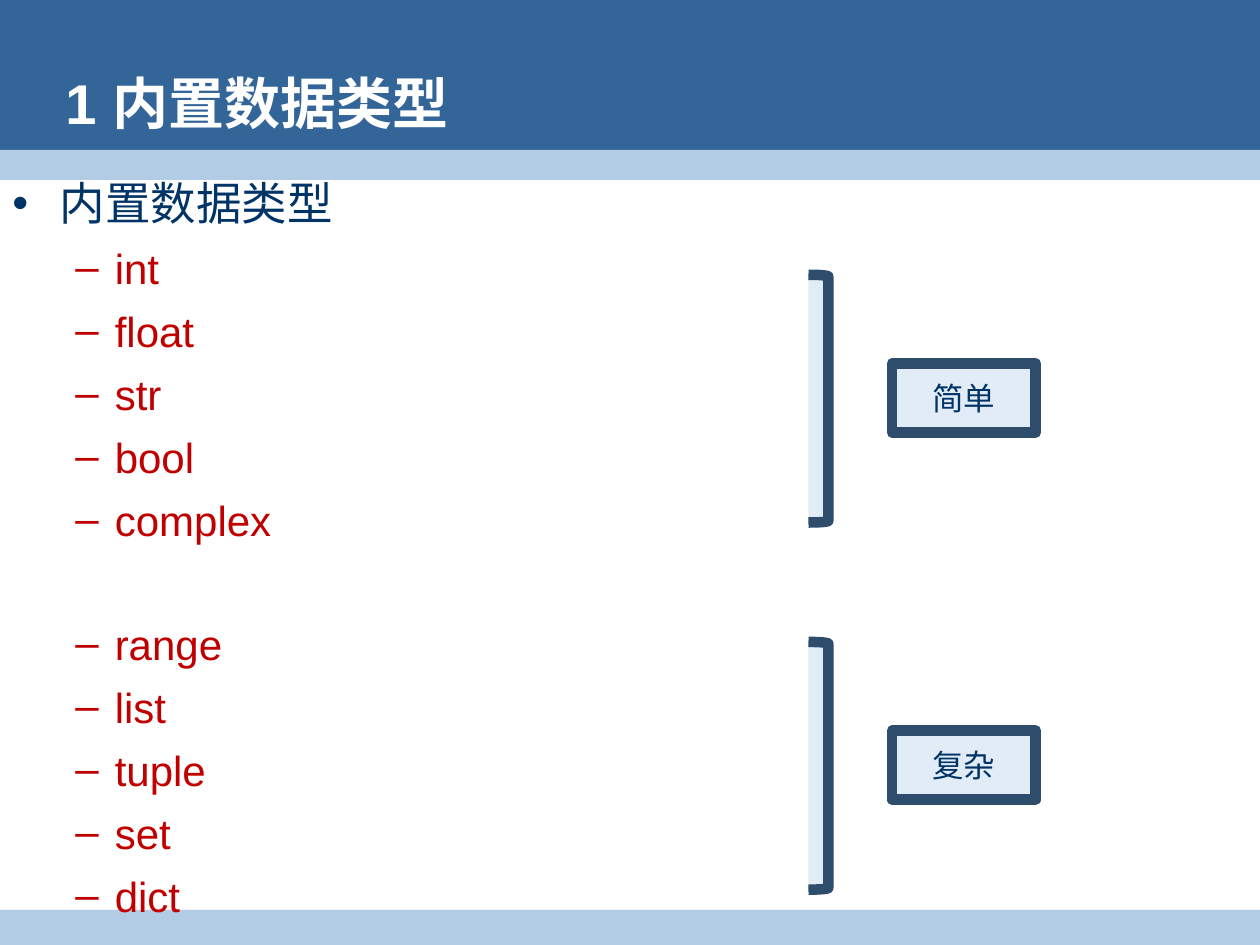
from lxml import etree
from pptx import Presentation
from pptx.dml.color import RGBColor
from pptx.enum.shapes import MSO_SHAPE
from pptx.enum.text import MSO_ANCHOR, PP_ALIGN
from pptx.oxml.ns import qn
from pptx.util import Pt

RECT = MSO_SHAPE.RECTANGLE
BRACKET = MSO_SHAPE.RIGHT_BRACKET
PROCESS = MSO_SHAPE.FLOWCHART_PROCESS
COLORS = {name: RGBColor.from_string(value) for name, value in {
    "header": "336599", "band": "B3CCE6", "navy": "003366", "red": "C00000",
    "white": "FFFFFF", "pale": "E2ECF6", "outline": "2E4C6B"}.items()}
LINE_PITCH = 34.8
ITEM_GAP = 7.2

prs = Presentation()
prs.slide_width, prs.slide_height = Pt(720), Pt(540)
slide = prs.slides.add_slide(prs.slide_layouts[5])


def add_filled(kind, left, top, width, height, fill, outline=None):
    shape = slide.shapes.add_shape(kind, Pt(left), Pt(top), Pt(width), Pt(height))
    shape.shadow.inherit = False
    shape.fill.solid()
    shape.fill.fore_color.rgb = COLORS[fill]
    if outline:
        shape.line.color.rgb = COLORS[outline]
        shape.line.width = Pt(6)
    else:
        shape.line.fill.background()
    return shape


def set_bullet(paragraph, char, color, left, hanging):
    props = paragraph._p.get_or_add_pPr()
    props.set("marL", str(Pt(left)))
    props.set("indent", str(-Pt(hanging)))
    bullet_color = etree.SubElement(props, qn("a:buClr"))
    etree.SubElement(bullet_color, qn("a:srgbClr"), val=str(COLORS[color]))
    etree.SubElement(props, qn("a:buFont"), typeface="Arial")
    etree.SubElement(props, qn("a:buChar"), char=char)


# Header and footer bands
for top, height, fill in [(0, 94, "header"), (85.7, 17.1, "band"), (520, 21.6, "band")]:
    add_filled(RECT, 0, top, 720, height, fill)

# Title, brought in front of the bands
title = slide.shapes.title
slide.shapes._spTree.append(title._element)
title.left, title.top, title.width, title.height = Pt(30.2), Pt(37.4), Pt(652), Pt(42)
title.text_frame.vertical_anchor = MSO_ANCHOR.MIDDLE
title.text_frame.text = "1 内置数据类型"
heading = title.text_frame.paragraphs[0]
heading.alignment = PP_ALIGN.LEFT
heading.font.name, heading.font.size, heading.font.bold = "Arial", Pt(32), True
heading.font.color.rgb = COLORS["white"]

# List of types, with one line left open between the two groups
groups = [("简单", 157, ["int", "float", "str", "bool", "complex"]),
          ("复杂", 366.8, ["range", "list", "tuple", "set", "dict"])]
body = slide.shapes.add_textbox(Pt(0), Pt(100), Pt(682), Pt(420)).text_frame
body.word_wrap = True
body.margin_left = Pt(7.2)
body.margin_top = body.margin_bottom = 0
topic = body.paragraphs[0]
topic.text = "内置数据类型"
set_bullet(topic, "•", "navy", 27, 27)
topic.font.name, topic.font.size = "Arial", Pt(26)
topic.font.color.rgb = COLORS["navy"]

for group_index, (label, top, types) in enumerate(groups):
    for type_index, type_name in enumerate(types):
        item = body.add_paragraph()
        item.text = type_name
        item.level = 1
        opens_later_group = group_index > 0 and type_index == 0
        item.space_before = Pt(ITEM_GAP + LINE_PITCH * opens_later_group)
        set_bullet(item, "–", "red", 58.5, 22.5)
        item.font.name, item.font.size = "Arial", Pt(24)
        item.font.color.rgb = COLORS["red"]

    add_filled(BRACKET, 462, top, 11.3, 141.6, "pale", "outline")
    box = add_filled(PROCESS, 509.8, top + 50.6, 82, 39.6, "pale", "outline")
    box.text_frame.vertical_anchor = MSO_ANCHOR.MIDDLE
    box.text_frame.text = label
    caption = box.text_frame.paragraphs[0]
    caption.alignment = PP_ALIGN.CENTER
    caption.font.name, caption.font.size = "Arial", Pt(18)
    caption.font.color.rgb = COLORS["navy"]

prs.save("out.pptx")
